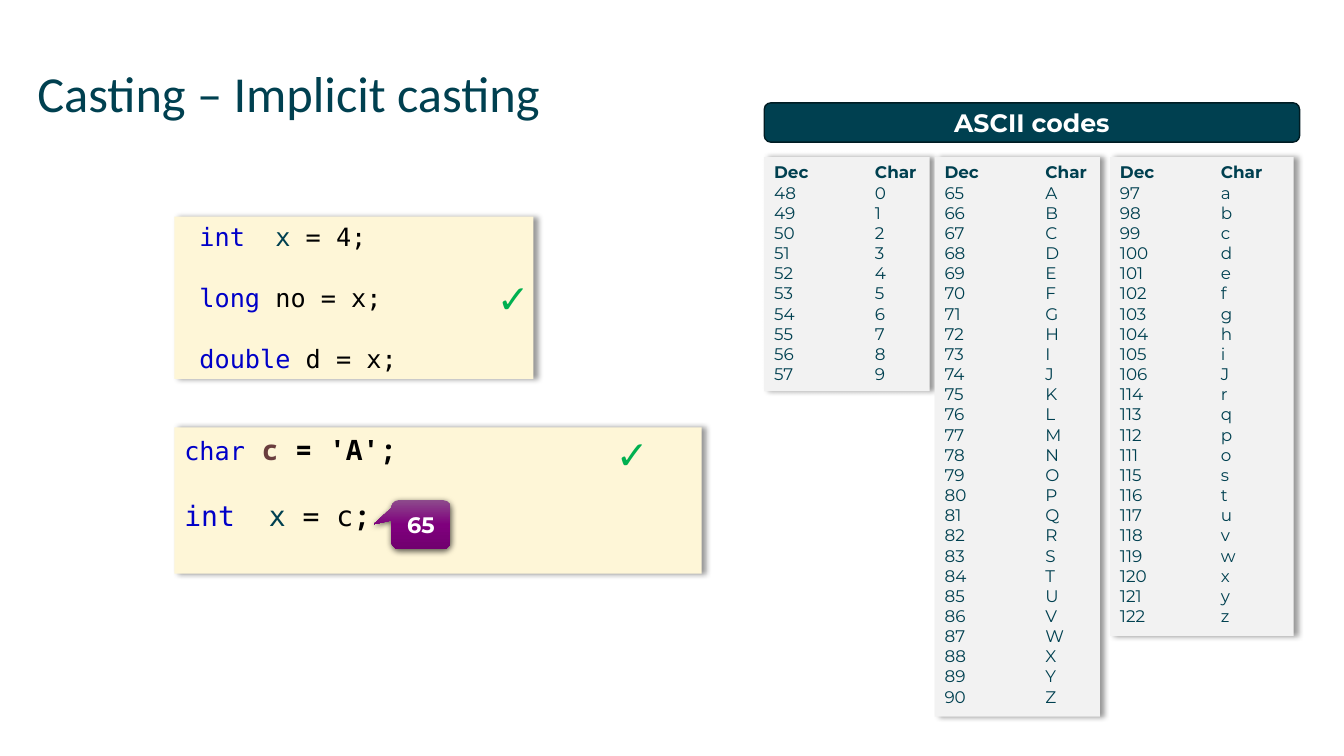
"""Build the slide about implicit casting with code samples and ASCII tables."""
from copy import deepcopy

from lxml.etree import SubElement
from pptx import Presentation
from pptx.dml.color import RGBColor
from pptx.enum.shapes import MSO_SHAPE as SHAPE
from pptx.enum.text import MSO_ANCHOR as ANCHOR, PP_ALIGN as ALIGN
from pptx.oxml.ns import qn
from pptx.util import Inches, Pt

TEAL, BLUE, BLACK, WHITE = "004050", "0000C8", "000000", "FFFFFF"
CREAM, GREY, GREEN, BROWN = "FEF6D7", "F2F2F2", "00B050", "6A3E3E"
MONO, NOTO, SANS = "DejaVu Sans Mono", "Noto Sans Mono", "Montserrat"


def rgb(value):
    """Turn a hex string into a colour."""
    return RGBColor.from_string(value)


def style(r, size, color, font, bold=False):
    """Format one run."""
    r.font.size, r.font.name, r.font.bold = Pt(size), font, bold
    r.font.color.rgb = rgb(color)


def add_shadow(s, alpha, blur, dist, angle):
    """Give a shape a soft black outer shadow."""
    effects = s._element.spPr.find(qn("a:effectLst"))
    shadow = SubElement(effects, qn("a:outerShdw"), blurRad=str(Pt(blur)),
                        dist=str(Pt(dist)), dir=str(angle * 60000),
                        algn="ctr", rotWithShape="0")
    black = SubElement(shadow, qn("a:srgbClr"), val=BLACK)
    SubElement(black, qn("a:alpha"), val=str(alpha * 1000))


def add_tab(p, position):
    """Add a left tab stop to a paragraph."""
    tabs = SubElement(p._p.get_or_add_pPr(), qn("a:tabLst"))
    SubElement(tabs, qn("a:tab"), pos=str(Inches(position)), algn="l")


def add_box(slide, kind, at, fill=None):
    """Add a preset shape without outline."""
    s = slide.shapes.add_shape(kind, *map(Inches, at))
    s.shadow.inherit = False
    s.line.fill.background()
    if fill:
        s.fill.solid()
        s.fill.fore_color.rgb = rgb(fill)
    return s


def add_panel(slide, at, fill):
    """Add a shadowed rectangle with text starting at its top."""
    s = add_box(slide, SHAPE.RECTANGLE, at, fill)
    add_shadow(s, 40, 4, 3, 0)
    s.text_frame.vertical_anchor = ANCHOR.TOP
    return s.text_frame


def add_code(slide, at, lines, gap):
    """Add a code panel from lines of styled runs."""
    tf = add_panel(slide, at, CREAM)
    for i, line in enumerate(lines):
        p = tf.add_paragraph() if i else tf.paragraphs[0]
        p.alignment = ALIGN.LEFT
        if i:
            p.space_before = Pt(gap)
        for text, *look in line:
            r = p.add_run()
            r.text = text
            style(r, *look)


def add_ascii_column(slide, left, width, height, rows):
    """Add a panel of decimal codes and their characters."""
    tf = add_panel(slide, (left, 1.56, width, height), GREY)
    tf.text = "\n".join(f"{dec}\t{char}" for dec, char in [("Dec", "Char"), *rows])
    for i, p in enumerate(tf.paragraphs):
        add_tab(p, 1)
        p.alignment = ALIGN.LEFT
        style(p.runs[0], 12, TEAL, SANS, i == 0)


def add_label(s, text, size):
    """Centre a bold white label in a shape."""
    tf = s.text_frame
    tf.text = text
    tf.vertical_anchor = ANCHOR.MIDDLE
    tf.paragraphs[0].alignment = ALIGN.CENTER
    style(tf.paragraphs[0].runs[0], size, WHITE, SANS, True)


def add_text(slide, at, text, *look):
    """Add a single-line text box."""
    tf = slide.shapes.add_textbox(*map(Inches, at)).text_frame
    tf.text = text
    style(tf.paragraphs[0].runs[0], *look)
    return tf


def add_callout(slide):
    """Add the purple callout with the value of the character."""
    s = add_box(slide, SHAPE.ROUNDED_RECTANGULAR_CALLOUT, (3.88, 4.96, 0.59, 0.49))
    for i, value in enumerate((-0.797, -0.007, 0.167)):
        s.adjustments[i] = value
    s.fill.gradient()
    s.fill.gradient_angle = 270
    stops = s._element.spPr.find(".//" + qn("a:gsLst"))
    stops.append(deepcopy(stops[0]))
    colors = ((0, "8D4B8C"), (0.5, "7F007D"), (1, "71006F"))
    for stop, (position, color) in zip(s.fill.gradient_stops, colors):
        stop.position = position
        stop.color.rgb = rgb(color)
    add_shadow(s, 63, 4.5, 1.5, 90)
    add_label(s, "65", 16)


def code_rows(codes):
    """Pair each code with its character."""
    return [(code, chr(code)) for code in codes]


def main():
    """Build and save the slide."""
    prs = Presentation()
    prs.slide_width, prs.slide_height = Inches(13.33), Inches(7.5)
    slide = prs.slides.add_slide(prs.slide_layouts[6])

    declarations = (("int", "  x", " = 4;"), ("long ", "", "no = x;"),
                    ("double ", "", "d = x;"))
    numbers = [[(" ", 18, TEAL, MONO), (kind, 18, BLUE, MONO)]
               + ([(name, 18, TEAL, MONO)] if name else [])
               + [(rest, 18, BLACK, MONO)]
               for kind, name, rest in declarations]
    add_code(slide, (1.73, 2.15, 3.56, 1.61), numbers, 21.7)

    tf = add_text(slide, (0.37, 0.61, 12.6, 0.88), "Casting – Implicit casting",
                  36, TEAL, "Calibri")
    tf.margin_left = tf.margin_right = tf.margin_bottom = 0
    tf.margin_top = Inches(0.01)
    tf.word_wrap = True

    characters = [
        [("char", 18, BLUE, MONO), (" ", 20, BLACK, NOTO, True),
         ("c", 20, BROWN, NOTO, True), (" = 'A';", 20, BLACK, NOTO, True)],
        [("int", 20, BLUE, MONO), ("  x", 20, TEAL, MONO),
         (" = c", 20, BLACK, MONO), (";", 20, BLACK, NOTO, True)],
    ]
    add_code(slide, (1.73, 4.24, 5.23, 1.45), characters, 23.5)
    for left, top in ((4.83, 2.67), (6.01, 4.22)):
        add_text(slide, (left, top, 0.51, 0.57), "✓", 28, GREEN, NOTO, True)
    add_callout(slide)

    lower = (code_rows(range(97, 106)) + [(106, "J")]
             + code_rows((114, 113, 112, 111, *range(115, 123))))
    add_ascii_column(slide, 11.01, 1.82, 4.75, lower)
    add_ascii_column(slide, 7.58, 1.64, 2.32, code_rows(range(48, 58)))
    add_ascii_column(slide, 9.27, 1.64, 5.55, code_rows(range(65, 91)))
    heading = add_box(slide, SHAPE.ROUNDED_RECTANGLE, (7.58, 1.02, 5.31, 0.39), TEAL)
    heading.line.color.rgb = rgb("001C23")
    heading.line.width = Pt(1)
    add_label(heading, "ASCII codes", 18)

    prs.save("out.pptx")


if __name__ == "__main__":
    main()
